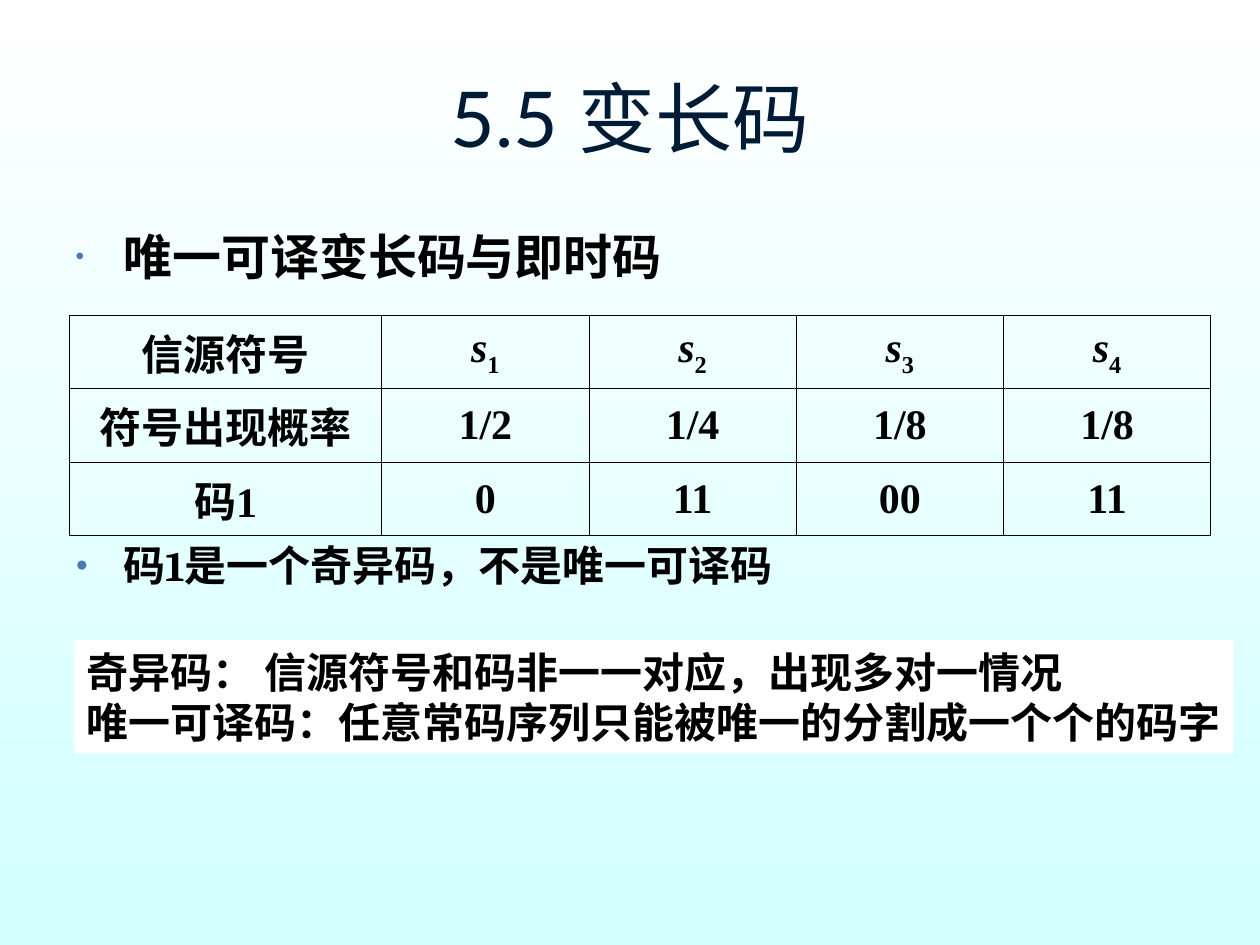
from dataclasses import dataclass

from lxml.etree import SubElement
from pptx import Presentation
from pptx.dml.color import RGBColor
from pptx.enum.text import MSO_ANCHOR, MSO_AUTO_SIZE, PP_ALIGN
from pptx.oxml.ns import qn
from pptx.util import Inches, Pt


@dataclass(frozen=True)
class Theme:
    """Colours, fonts and type sizes of the deck."""

    ink: str = "000000"
    title_ink: str = "001B36"
    bullet: str = "477AB1"
    paper: str = "FFFFFF"
    sky: str = "D2FFFF"
    title_font: str = "Lato"
    text_font: str = "Cambria"
    number_font: str = "Times New Roman"
    title_size: int = 44
    heading_size: int = 28
    text_size: int = 24


THEME = Theme()
TEXT = {"name": THEME.text_font, "size": Pt(THEME.text_size), "bold": True}
HEADING = {**TEXT, "size": Pt(THEME.heading_size)}
NUMBER = {**TEXT, "name": THEME.number_font}
SYMBOL = {**NUMBER, "italic": True}
TITLE = {"name": THEME.title_font, "size": Pt(THEME.title_size), "bold": False}

CODE_ROWS = [
    [[("信源符号", TEXT)]] + [[("s", SYMBOL), (str(index), NUMBER)] for index in range(1, 5)],
    [[("符号出现概率", TEXT)]] + [[(value, NUMBER)] for value in ("1/2", "1/4", "1/8", "1/8")],
    [[("码", TEXT), ("1", NUMBER)]] + [[(value, NUMBER)] for value in ("0", "11", "00", "11")],
]
POINTS = [
    ("唯一可译变长码与即时码", HEADING, "•", 0),
    ("码1是一个奇异码，不是唯一可译码", TEXT, "●", 145),
]
DEFINITIONS = [
    "奇异码： 信源符号和码非一一对应，出现多对一情况",
    "唯一可译码：任意常码序列只能被唯一的分割成一个个的码字",
]


def add_span(para, text, style, color=THEME.ink):
    """Append a formatted run to a paragraph."""
    span = para.add_run()
    span.text = text
    for name, value in style.items():
        setattr(span.font, name, value)
    span.font.color.rgb = RGBColor.from_string(color)
    return span


def next_para(frame, index):
    """Return the first paragraph of a frame, or a new one after it."""
    return frame.paragraphs[0] if index == 0 else frame.add_paragraph()


def place(shape, box):
    """Move a shape to a box of left, top, width and height in inches."""
    for name, value in zip(("left", "top", "width", "height"), box):
        setattr(shape, name, Inches(value))


def add_bullet(para, mark):
    """Give a paragraph a small coloured bullet and a hanging indent."""
    properties = para._p.get_or_add_pPr()
    properties.set("marL", str(Inches(0.38)))
    properties.set("indent", str(Inches(-0.38)))
    color = SubElement(properties, qn("a:buClr"))
    SubElement(color, qn("a:srgbClr"), val=THEME.bullet)
    SubElement(properties, qn("a:buSzPct"), val="50000")
    SubElement(properties, qn("a:buChar"), char=mark)


def paint_background(page):
    """Fill the page with a vertical gradient."""
    fill = page.background.fill
    fill.gradient()
    fill.gradient_angle = 270
    for stop, color, position in zip(fill.gradient_stops, (THEME.paper, THEME.sky), (0, 1)):
        stop.color.rgb = RGBColor.from_string(color)
        stop.position = position


def fill_title(page, box):
    """Write the heading in the title placeholder."""
    title = page.shapes.title
    place(title, box)
    frame = title.text_frame
    frame.vertical_anchor = MSO_ANCHOR.MIDDLE
    para = frame.paragraphs[0]
    para.alignment = PP_ALIGN.CENTER
    add_span(para, "5.5 变长码", TITLE, THEME.title_ink)


def fill_points(page, box):
    """Write the bulleted points above and below the table."""
    body = page.placeholders[1]
    place(body, box)
    frame = body.text_frame
    frame.auto_size = MSO_AUTO_SIZE.NONE
    for index, (text, style, mark, gap) in enumerate(POINTS):
        para = next_para(frame, index)
        add_bullet(para, mark)
        para.space_before = Pt(gap)
        add_span(para, text, style)


def outline_cell(cell):
    """Draw thin borders round a cell and clear its fill."""
    properties = cell._tc.get_or_add_tcPr()
    for side in ("lnL", "lnR", "lnT", "lnB"):
        line = SubElement(properties, qn(f"a:{side}"), w=str(Pt(0.45)))
        fill = SubElement(line, qn("a:solidFill"))
        SubElement(fill, qn("a:srgbClr"), val=THEME.ink)
    cell.fill.background()


def add_code_table(page, box):
    """Add the table of symbols, probabilities and code words."""
    left, top, width, height = map(Inches, box)
    row_count, column_count = len(CODE_ROWS), len(CODE_ROWS[0])
    table = page.shapes.add_table(row_count, column_count, left, top, width, height).table
    table.first_row = table.horz_banding = False
    label_width = Inches(2.48)
    for index, column in enumerate(table.columns):
        column.width = label_width if index == 0 else (width - label_width) // (column_count - 1)
    for row, entries in zip(table.rows, CODE_ROWS):
        for cell, spans in zip(row.cells, entries):
            outline_cell(cell)
            cell.vertical_anchor = MSO_ANCHOR.MIDDLE
            para = cell.text_frame.paragraphs[0]
            para.alignment = PP_ALIGN.CENTER
            for text, style in spans:
                span = add_span(para, text, style)
                if spans[0][1] is SYMBOL and style is NUMBER:
                    span.font._element.set("baseline", "-25000")


def add_definitions(page, box):
    """Add the white panel that defines the two kinds of code."""
    panel = page.shapes.add_textbox(*map(Inches, box))
    panel.fill.solid()
    panel.fill.fore_color.rgb = RGBColor.from_string(THEME.paper)
    frame = panel.text_frame
    frame.word_wrap = False
    frame.auto_size = MSO_AUTO_SIZE.SHAPE_TO_FIT_TEXT
    for index, text in enumerate(DEFINITIONS):
        para = next_para(frame, index)
        para.alignment = PP_ALIGN.JUSTIFY
        add_span(para, text, TEXT)


def main():
    """Build the deck and save it."""
    deck = Presentation()
    deck.slide_width, deck.slide_height = Inches(10), Inches(7.5)
    page = deck.slides.add_slide(deck.slide_layouts[1])
    paint_background(page)
    fill_title(page, (0.5, 0.3, 9, 1.25))
    fill_points(page, (0.5, 1.75, 9, 4.95))
    add_code_table(page, (0.55, 2.5, 9.06, 1.74))
    add_definitions(page, (0.59, 5.08, 9.2, 0.9))
    deck.save("out.pptx")


if __name__ == "__main__":
    main()
